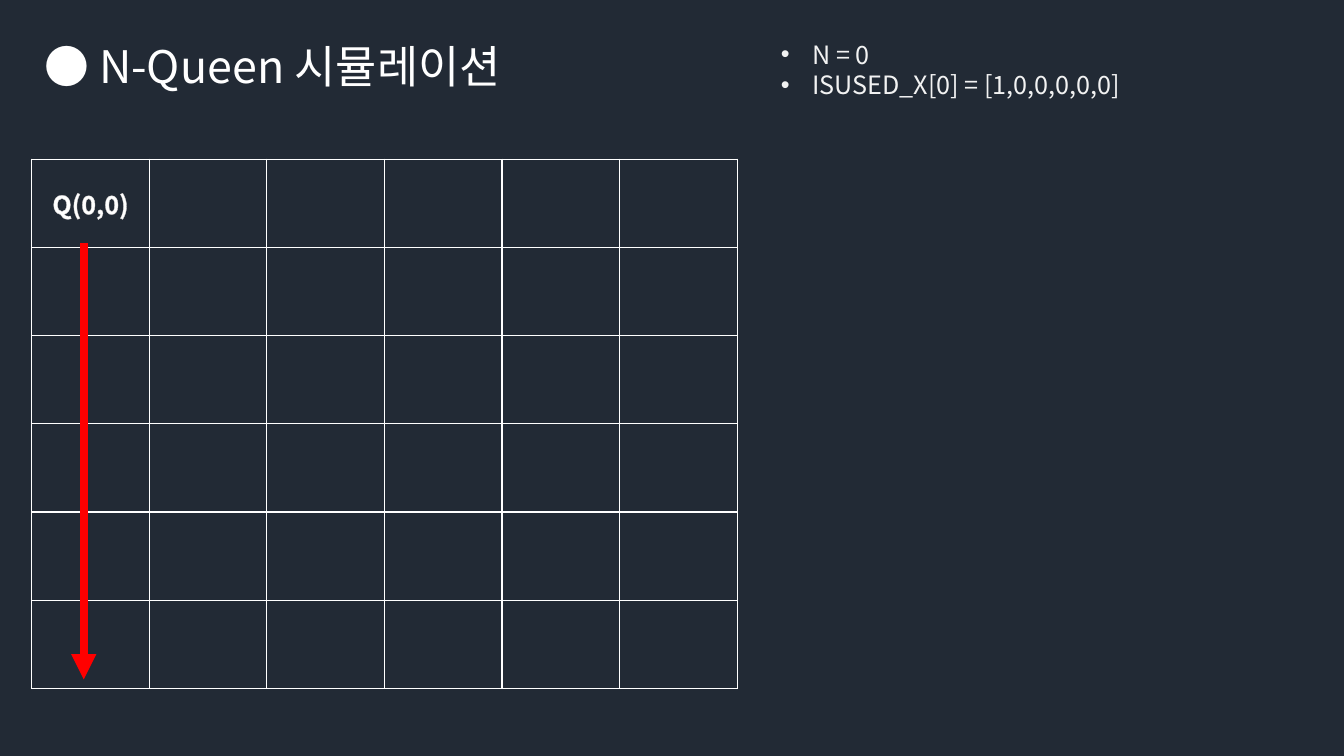
from pptx import Presentation
from pptx.dml.color import RGBColor
from pptx.enum.shapes import MSO_CONNECTOR
from pptx.enum.text import MSO_ANCHOR, MSO_AUTO_SIZE, PP_ALIGN
from pptx.oxml import parse_xml
from pptx.oxml.ns import nsdecls
from pptx.util import Cm, Pt

BOARD_SIZE = 6


def rgb(value):
    return RGBColor.from_string(value)


def element(tag, attrs="", body=""):
    return parse_xml(f'<a:{tag} {nsdecls("a")} {attrs}>{body}</a:{tag}>')


def solid(color):
    return f'<a:solidFill><a:srgbClr val="{color}"/></a:solidFill>'


class Deck:
    FONT = "Noto Sans CJK KR"
    BACKGROUND = "222A35"
    WHITE = "FFFFFF"
    NOTE = "F2F2F2"
    OUTLINE = "D0CECE"
    ARROW = "FF0000"

    def __init__(self):
        self.prs = Presentation()
        self.prs.slide_width, self.prs.slide_height = Cm(33.87), Cm(19.05)

    def add_slide(self):
        self.s = self.prs.slides.add_slide(self.prs.slide_layouts[5])
        fill = self.s.background.fill
        fill.solid()
        fill.fore_color.rgb = rgb(self.BACKGROUND)

    def add_run(self, p, text, size, color, bold=False):
        r = p.add_run()
        r.text = text
        r.font.size, r.font.bold = Pt(size), bold
        r.font.name = self.FONT
        r.font.color.rgb = rgb(color)
        r.font._element.find("{*}latin").addnext(
            element("ea", f'typeface="{self.FONT}"'))
        return r

    def title(self, text, x, y, w, h):
        sp = self.s.shapes.title
        sp.left, sp.top, sp.width, sp.height = Cm(x), Cm(y), Cm(w), Cm(h)
        tf = sp.text_frame
        tf.word_wrap = True
        tf.auto_size = MSO_AUTO_SIZE.SHAPE_TO_FIT_TEXT
        tf.vertical_anchor = MSO_ANCHOR.TOP
        p = tf.paragraphs[0]
        p.alignment = PP_ALIGN.LEFT
        self.add_run(p, text, 32, self.WHITE)

    def bullets(self, lines, x, y, w, h):
        tf = self.s.shapes.add_textbox(Cm(x), Cm(y), Cm(w), Cm(h)).text_frame
        tf.word_wrap = True
        for i, line in enumerate(lines):
            p = tf.add_paragraph() if i else tf.paragraphs[0]
            pPr = p._p.get_or_add_pPr()
            pPr.set("marL", str(Cm(0.79)))
            pPr.set("indent", str(-Cm(0.79)))
            pPr.append(element("buFont", 'typeface="Arial"'))
            pPr.append(element("buChar", 'char="•"'))
            self.add_run(p, line, 18, self.NOTE)

    def board(self, n, x, y, w, h):
        """Add an n by n table with white cell borders and no fill."""
        table = self.s.shapes.add_table(
            n, n, Cm(x), Cm(y), Cm(w), Cm(h)).table
        table.first_row = table.horz_banding = False
        for cell in table.iter_cells():
            cell.fill.background()
            tcPr = cell._tc.get_or_add_tcPr()
            for i, side in enumerate("LRTB"):
                tcPr.insert(i, element(f"ln{side}", f'w="{Pt(1)}"', solid(self.WHITE)))
        return table

    def queen(self, cell, text):
        cell.vertical_anchor = MSO_ANCHOR.MIDDLE
        p = cell.text_frame.paragraphs[0]
        p.alignment = PP_ALIGN.CENTER
        r = self.add_run(p, text, 18, self.WHITE, bold=True)
        r.font._element.insert(
            0, element("ln", f'w="{Pt(0.75)}"', solid(self.OUTLINE)))

    def arrow(self, x1, y1, x2, y2):
        line = self.s.shapes.add_connector(
            MSO_CONNECTOR.STRAIGHT, Cm(x1), Cm(y1), Cm(x2), Cm(y2))
        line.line.color.rgb = rgb(self.ARROW)
        line.line.width = Pt(6)
        line.line._get_or_add_ln().append(element("tailEnd", 'type="triangle"'))
        line._element.spPr.append(element("effectLst"))


def main():
    deck = Deck()
    deck.add_slide()
    deck.title("● N-Queen 시뮬레이션", 0.86, 0.86, 16.92, 1.63)
    board = deck.board(BOARD_SIZE, 0.8, 4.01, 17.78, 13.34)
    deck.queen(board.cell(0, 0), "Q(0,0)")
    deck.bullets(["N = 0", "ISUSED_X[0] = [1,0,0,0,0,0]"],
                 19.43, 0.86, 12.78, 2.57)
    deck.arrow(2.11, 6.12, 2.11, 17.12)
    deck.prs.save("out.pptx")


if __name__ == "__main__":
    main()
